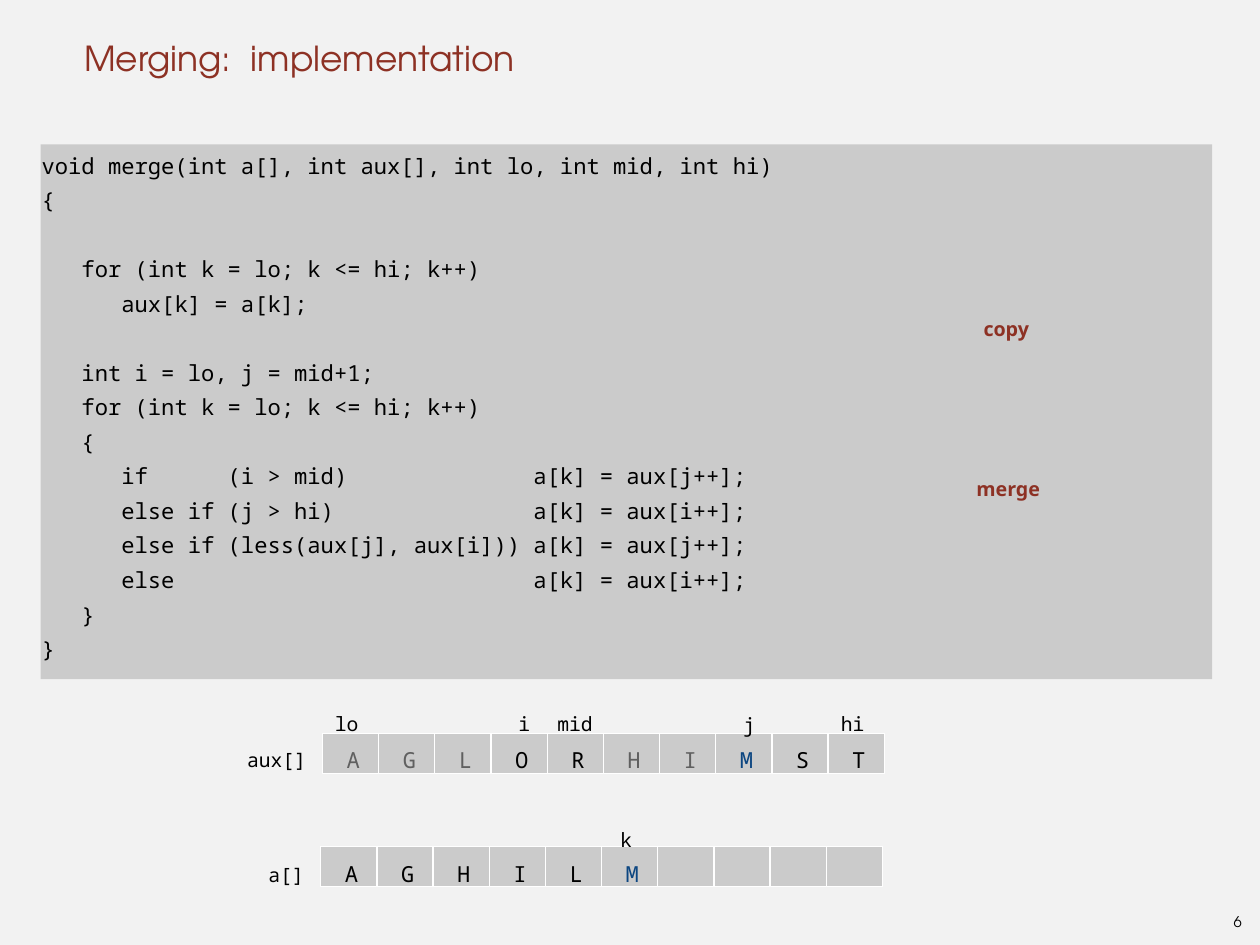
from dataclasses import dataclass

from pptx import Presentation
from pptx.dml.color import RGBColor
from pptx.enum.shapes import MSO_SHAPE
from pptx.enum.text import MSO_ANCHOR, MSO_AUTO_SIZE, PP_ALIGN
from pptx.shapes.autoshape import Shape
from pptx.slide import Slide
from pptx.text.text import TextFrame
from pptx.util import Inches, Pt


@dataclass(frozen=True)
class Theme:
    """Colours, fonts and type sizes of the slide."""
    background: str = "F2F2F2"
    panel: str = "CBCBCB"
    border: str = "FFFFFF"
    ink: str = "000000"
    used: str = "606060"
    current: str = "0C4681"
    accent: str = "8D3124"
    title_font: str = "TeX Gyre Adventor"
    body_font: str = "Noto Sans"
    code_font: str = "Noto Sans Mono"
    title_size: int = 28
    code_size: int = 18
    label_size: int = 16
    number_size: int = 12


THEME = Theme()


@dataclass(frozen=True)
class Style:
    """Character, paragraph and frame format of a text."""
    font: str
    size: int
    color: str = THEME.ink
    bold: bool = False
    align: PP_ALIGN = PP_ALIGN.LEFT
    anchor: MSO_ANCHOR = MSO_ANCHOR.TOP
    spacing: float = 1.5
    indent: float = 0.06
    inset: float = 0


@dataclass(frozen=True)
class Label:
    """A short text at a place on the slide."""
    text: str
    left: float
    top: float
    width: float
    height: float
    style: Style


@dataclass(frozen=True)
class ArrayRow:
    """A row of array cells; marks holds u for used, c for current, n for normal."""
    letters: str
    marks: str
    left: float
    top: float


CELL_COUNT = 10
ROW_WIDTH = 6.34
CELL_HEIGHT = 0.45
CODE_LINE = Pt(28)

MARK_COLORS = {"u": THEME.used, "c": THEME.current, "n": THEME.ink}

TITLE = Style(THEME.title_font, THEME.title_size, THEME.accent,
              anchor=MSO_ANCHOR.BOTTOM, spacing=1.0)
NUMBER = Style(THEME.title_font, THEME.number_size, align=PP_ALIGN.CENTER,
               anchor=MSO_ANCHOR.MIDDLE, spacing=1.0, indent=0)
CODE = Style(THEME.code_font, THEME.code_size, spacing=1.3, indent=0.01)
INDEX = Style(THEME.code_font, THEME.label_size)
NOTE = Style(THEME.body_font, THEME.label_size, THEME.accent, bold=True)

CODE_TEXT = """void merge(int a[], int aux[], int lo, int mid, int hi)
{

   for (int k = lo; k <= hi; k++)
      aux[k] = a[k];

   int i = lo, j = mid+1;
   for (int k = lo; k <= hi; k++)
   {
      if      (i > mid)              a[k] = aux[j++];
      else if (j > hi)               a[k] = aux[i++];
      else if (less(aux[j], aux[i])) a[k] = aux[j++];
      else                           a[k] = aux[i++];
   }
}"""

ROWS = [
    ArrayRow("AGLORHIMST", "uuunnuucnn", 3.64, 8.28),
    ArrayRow("AGHILM", "nnnnnc", 3.62, 9.56),
]

LABELS = [
    Label("lo", 3.72, 7.9, 0.53, 0.33, INDEX),
    Label("i", 5.79, 7.91, 0.28, 0.33, INDEX),
    Label("mid", 6.23, 7.91, 0.81, 0.33, INDEX),
    Label("j", 8.33, 7.92, 0.31, 0.33, INDEX),
    Label("hi", 9.43, 7.9, 0.53, 0.33, INDEX),
    Label("k", 6.94, 9.22, 0.4, 0.33, INDEX),
    Label("aux[]", 2.73, 8.31, 0.93, 0.33, INDEX),
    Label("a[]", 2.97, 9.61, 0.68, 0.33, INDEX),
    Label("copy", 11.04, 3.44, 0.73, 0.36, NOTE),
    Label("merge", 10.96, 5.25, 0.91, 0.36, NOTE),
    Label("6", 13.8, 10.25, 0.34, 0.32, NUMBER),
]


def write_text(frame: TextFrame, text: str, style: Style) -> None:
    """Write one paragraph per line, turning each empty line into a gap."""
    inset = Inches(style.inset)
    frame_format = {"word_wrap": True, "auto_size": MSO_AUTO_SIZE.NONE,
                    "vertical_anchor": style.anchor, "margin_left": inset,
                    "margin_right": inset, "margin_top": inset, "margin_bottom": inset}
    for name, value in frame_format.items():
        setattr(frame, name, value)
    font_format = {"name": style.font, "size": Pt(style.size), "bold": style.bold}
    for block_index, block in enumerate(text.split("\n\n")):
        for line_index, line in enumerate(block.split("\n")):
            first = block_index == line_index == 0
            paragraph = frame.paragraphs[0] if first else frame.add_paragraph()
            paragraph.alignment = style.align
            paragraph.line_spacing = style.spacing
            paragraph._p.get_or_add_pPr().set("marL", str(Inches(style.indent)))
            paragraph._p.get_or_add_pPr().set("indent", "0")
            if block_index and not line_index:
                paragraph.space_before = CODE_LINE
            run = paragraph.add_run()
            run.text = line
            for name, value in font_format.items():
                setattr(run.font, name, value)
            run.font.color.rgb = RGBColor.from_string(style.color)


def add_panel(slide: Slide, left: float, top: float, width: float, height: float) -> Shape:
    """Add a grey rectangle without outline or shadow."""
    shape = slide.shapes.add_shape(MSO_SHAPE.RECTANGLE, Inches(left), Inches(top),
                                   Inches(width), Inches(height))
    shape.shadow.inherit = False
    shape.fill.solid()
    shape.fill.fore_color.rgb = RGBColor.from_string(THEME.panel)
    shape.line.fill.background()
    return shape


def add_row(slide: Slide, row: ArrayRow) -> None:
    """Draw the cells of an array with their letters."""
    cell_width = ROW_WIDTH / CELL_COUNT
    for index in range(CELL_COUNT):
        cell = add_panel(slide, row.left + index * cell_width, row.top,
                         cell_width, CELL_HEIGHT)
        cell.line.color.rgb = RGBColor.from_string(THEME.border)
        cell.line.width = Pt(1)
        if index < len(row.letters):
            style = Style(THEME.code_font, THEME.code_size, MARK_COLORS[row.marks[index]],
                          align=PP_ALIGN.CENTER, anchor=MSO_ANCHOR.MIDDLE, inset=0.06)
            write_text(cell.text_frame, row.letters[index], style)


def add_label(slide: Slide, label: Label) -> None:
    """Add a text box for a label."""
    box = slide.shapes.add_textbox(Inches(label.left), Inches(label.top),
                                   Inches(label.width), Inches(label.height))
    write_text(box.text_frame, label.text, label.style)


def main() -> None:
    """Build the slide and save the presentation."""
    presentation = Presentation()
    presentation.slide_width = Inches(14.22)
    presentation.slide_height = Inches(10.67)
    slide = presentation.slides.add_slide(presentation.slide_layouts[5])
    slide.background.fill.solid()
    slide.background.fill.fore_color.rgb = RGBColor.from_string(THEME.background)
    title = slide.shapes.title
    title_place = {"left": 0.89, "top": 0, "width": 12.44, "height": 0.89}
    for name, value in title_place.items():
        setattr(title, name, Inches(value))
    write_text(title.text_frame, "Merging:  implementation", TITLE)
    code_panel = add_panel(slide, 0.46, 1.63, 13.22, 6.04)
    write_text(code_panel.text_frame, CODE_TEXT, CODE)
    for row in ROWS:
        add_row(slide, row)
    for label in LABELS:
        add_label(slide, label)
    presentation.save("out.pptx")


if __name__ == "__main__":
    main()
